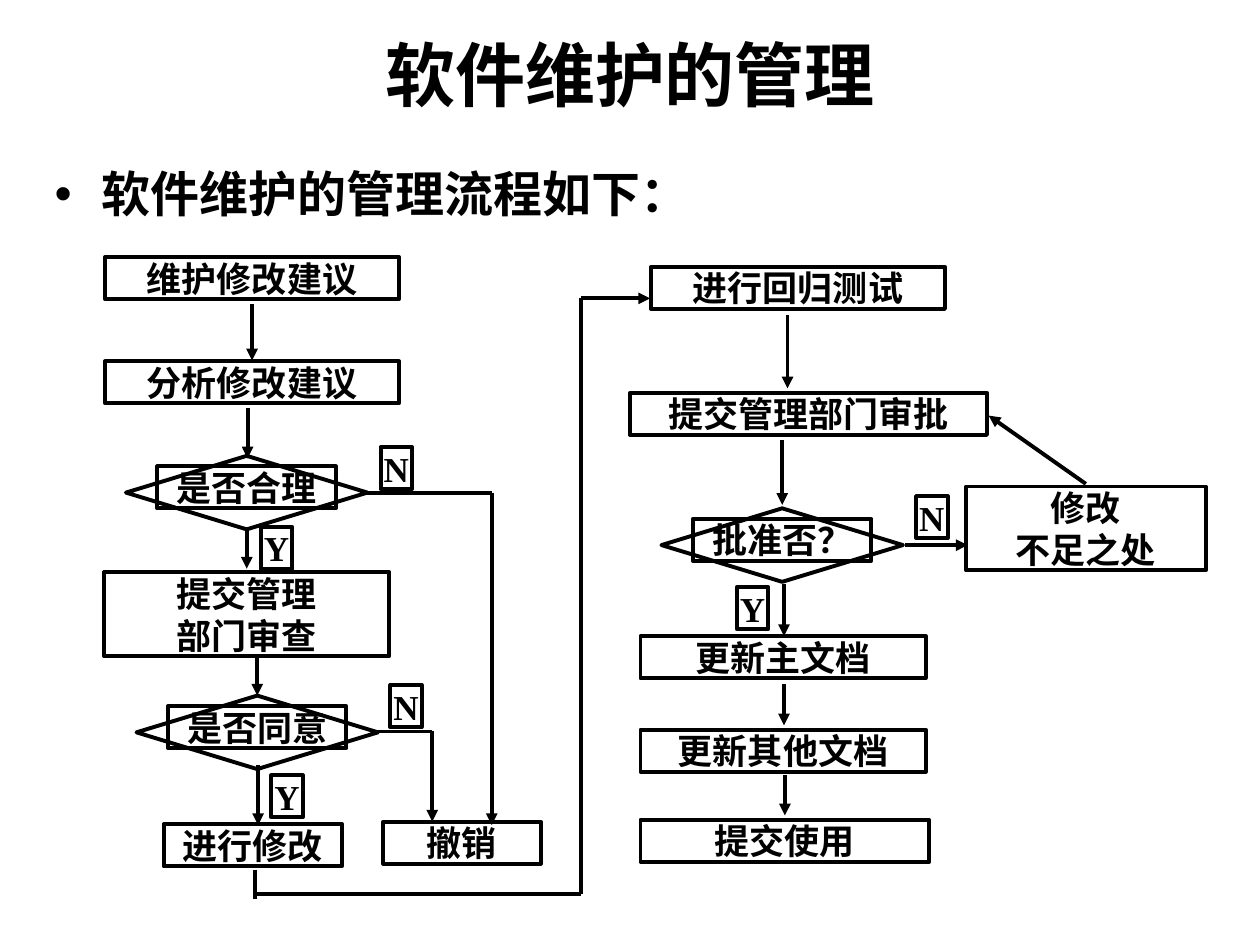
import pptx
import pptx.util
import pptx.dml.color
import pptx.enum.shapes
import pptx.enum.text
import pptx.oxml.ns
import lxml.etree

Pt = pptx.util.Pt
SHAPE = pptx.enum.shapes.MSO_SHAPE
ANCHOR = pptx.enum.text.MSO_ANCHOR
ALIGN = pptx.enum.text.PP_ALIGN
SANS, SERIF = "Noto Sans CJK SC", "Times New Roman"
INK = "000000"

STEPS = [
    (60, 147, 168, ["维护修改建议"]),
    (60, 206.5, 168, ["分析修改建议"]),
    (59.5, 327, 163, ["提交管理", "部门审查"]),
    (93.5, 471, 102, ["进行修改"]),
    (219, 469.5, 90, ["撤销"]),
    (372, 152.5, 168, ["进行回归测试"]),
    (360, 224.5, 204, ["提交管理部门审批"]),
    (552, 278, 137, ["修改", "不足之处"]),
    (366, 363.5, 163, ["更新主文档"]),
    (366, 417, 163, ["更新其他文档"]),
    (366, 468.5, 165, ["提交使用"]),
]
TESTS = [(72, 260.5, "是否合理"), (78, 397.5, "是否同意"), (378, 290.5, "批准否？")]
TAGS = [
    (217.5, 255.5, "N"), (223, 391.5, "N"), (523.5, 283.5, "N"),
    (149, 301, "Y"), (155, 443, "Y"), (421, 335.5, "Y"),
]
ARROWS = [
    (144, 174, 144, 206), (141.5, 233, 141.5, 262), (141, 302.5, 141, 325),
    (147, 375, 147, 397.5), (147.5, 437, 147.5, 471.5),
    (281, 281.5, 281, 471.5), (247, 418, 247, 469.5), (332, 170.5, 371.5, 170.5),
    (450, 180, 450, 222), (447, 251.5, 447, 288.5), (448, 333.5, 448, 363.5),
    (448, 391, 448, 414.5), (448.5, 443, 448.5, 466),
    (517, 311.5, 553, 311.5), (620.5, 276.5, 565, 237.5),
]
LINES = [
    (209.5, 281.5, 281, 281.5), (212.5, 418, 247, 418),
    (145.5, 497, 145.5, 514), (145, 511, 332, 511), (332, 511, 332, 170.5),
]


def tint(code):
    """Return the colour for a hex string."""
    return pptx.dml.color.RGBColor.from_string(code)


def write(par, text, size, font):
    """Add one bold run to a paragraph."""
    run = par.add_run()
    run.text = text
    run.font.size = Pt(size)
    run.font.bold = True
    run.font.name = font
    run.font.color.rgb = tint(INK)
    east = lxml.etree.SubElement(run.font._element, pptx.oxml.ns.qn("a:ea"))
    east.set("typeface", SANS)


def head(hold, box, text, size, align, anchor):
    """Place and fill a title or body placeholder."""
    hold.left, hold.top, hold.width, hold.height = map(Pt, box)
    frame = hold.text_frame
    frame.auto_size = pptx.enum.text.MSO_AUTO_SIZE.NONE
    frame.vertical_anchor = anchor
    par = frame.paragraphs[0]
    par.alignment = align
    write(par, text, size, SERIF)


def frame(slide, kind, left, top, width, height):
    """Add an unfilled shape with a black outline."""
    shape = slide.shapes.add_shape(kind, Pt(left), Pt(top), Pt(width), Pt(height))
    shape.shadow.inherit = False
    shape.fill.background()
    shape.line.color.rgb = tint(INK)
    shape.line.width = Pt(2.25)
    return shape


def box(slide, left, top, width, rows, font=SANS):
    """Add a box whose height follows its rows of text."""
    shape = frame(slide, SHAPE.RECTANGLE, left, top, width, 24 * len(rows))
    body = shape.text_frame
    body.word_wrap = True
    body.vertical_anchor = ANCHOR.TOP
    body.margin_left = body.margin_right = body.margin_top = body.margin_bottom = 0
    for i, row in enumerate(rows):
        par = body.add_paragraph() if i else body.paragraphs[0]
        par.alignment = ALIGN.CENTER
        par.line_spacing = Pt(24)
        write(par, row, 20, font)


def test(slide, left, top, text):
    """Add a decision diamond with its text box."""
    frame(slide, SHAPE.DIAMOND, left, top, 138, 42)
    box(slide, left + 18, top + 6, 102, [text])


def link(slide, ends, tip):
    """Add a straight line, with an arrowhead if tip is set."""
    line = slide.shapes.add_connector(
        pptx.enum.shapes.MSO_CONNECTOR.STRAIGHT, *map(Pt, ends))
    line.line.color.rgb = tint(INK)
    line.line.width = Pt(2.25)
    if tip:
        tail = lxml.etree.SubElement(
            line.line._get_or_add_ln(), pptx.oxml.ns.qn("a:tailEnd"))
        tail.set("type", "triangle")
    lxml.etree.SubElement(line._element.spPr, pptx.oxml.ns.qn("a:effectLst"))


def main():
    """Build the slide and save it."""
    deck = pptx.Presentation()
    deck.slide_width, deck.slide_height = Pt(720), Pt(540)
    slide = deck.slides.add_slide(deck.slide_layouts[1])
    title, body = slide.placeholders
    head(title, (54, 18, 612, 48), "软件维护的管理", 40, ALIGN.CENTER, ANCHOR.MIDDLE)
    head(body, (24, 90, 404, 48), "软件维护的管理流程如下：", 28, ALIGN.LEFT, ANCHOR.TOP)
    for step in STEPS:
        box(slide, *step)
    for item in TESTS:
        test(slide, *item)
    for left, top, mark in TAGS:
        box(slide, left, top, 18, [mark], SERIF)
    for ends in ARROWS:
        link(slide, ends, True)
    for ends in LINES:
        link(slide, ends, False)
    deck.save("out.pptx")


if __name__ == "__main__":
    main()
